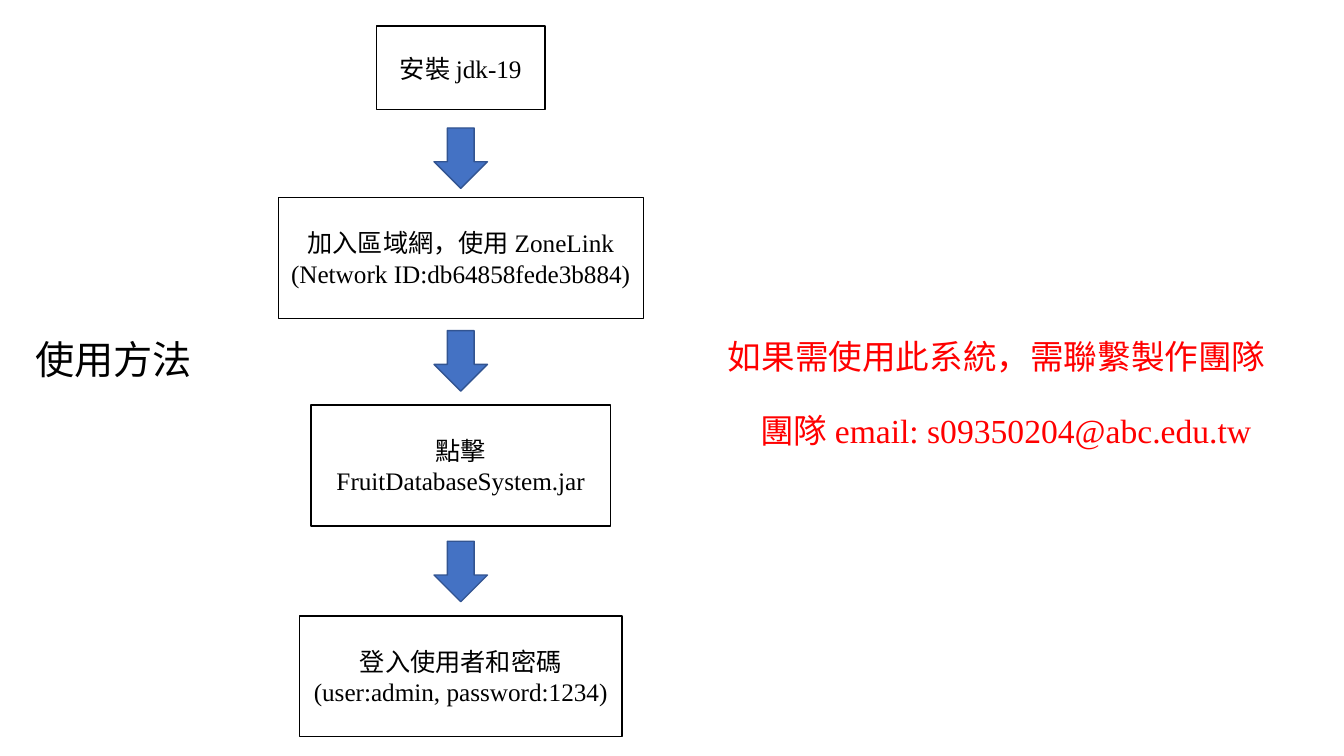
from pptx import Presentation
from pptx.dml.color import RGBColor
from pptx.enum.shapes import MSO_SHAPE as Shape
from pptx.enum.text import MSO_ANCHOR as Anchor, MSO_AUTO_SIZE as AutoSize, PP_ALIGN as Align
from pptx.oxml.ns import qn
from pptx.util import Inches, Pt
from lxml.etree import SubElement

BLACK = RGBColor(0x00, 0x00, 0x00)
WHITE = RGBColor(0xFF, 0xFF, 0xFF)
RED = RGBColor(0xFF, 0x00, 0x00)
BLUE = RGBColor(0x44, 0x72, 0xC4)
DARK_BLUE = RGBColor(0x32, 0x54, 0x91)
CHINESE = "Noto Sans CJK SC"
LATIN = "Times New Roman"


def write(para, texts, size, color, align):
    para.alignment = align
    para.font.size = Pt(size)
    para.font.color.rgb = color
    for text in texts:
        span = para.add_run()
        span.text = text
        span.font.name = LATIN if text.isascii() else CHINESE
        SubElement(span.font._element, qn("a:ea"), typeface=CHINESE)


def add_block(kind, left, top, width, height, fill, line):
    block = page.shapes.add_shape(kind, Inches(left), Inches(top), Inches(width), Inches(height))
    block.shadow.inherit = False
    block.fill.solid()
    block.fill.fore_color.rgb = fill
    block.line.color.rgb = line
    block.line.width = Pt(1)
    return block


deck = Presentation()
deck.slide_width, deck.slide_height = Inches(13.33), Inches(7.5)
page = deck.slides.add_slide(deck.slide_layouts[6])

flow_center = 4.57
steps = [
    (0.26, 1.67, 0.83, [["安裝 ", "jdk-19"]]),
    (1.96, 3.62, 1.2, [["加入區域網，使用 ", "ZoneLink"], ["(Network ID:db64858fede3b884)"]]),
    (4.02, 2.97, 1.2, [["點擊 ", "FruitDatabaseSystem.jar"]]),
    (6.11, 3.2, 1.2, [["登入使用者和密碼 ", "(user:admin, password:1234)"]]),
]
for top, width, height, lines in steps:
    box = add_block(Shape.RECTANGLE, flow_center - width / 2, top, width, height, WHITE, BLACK)
    frame = box.text_frame
    frame.word_wrap = True
    frame.vertical_anchor = Anchor.MIDDLE
    for index, texts in enumerate(lines):
        para = frame.add_paragraph() if index else frame.paragraphs[0]
        write(para, texts, 18, BLACK, Align.CENTER)

arrow_width, arrow_height = 0.53, 0.6
for top in (1.27, 3.28, 5.37):
    add_block(Shape.DOWN_ARROW, flow_center - arrow_width / 2, top, arrow_width, arrow_height, BLUE, DARK_BLUE)

notes_top = 3.28
title = page.shapes.add_textbox(Inches(0.25), Inches(notes_top), Inches(1.77), Inches(0.57))
title.text_frame.word_wrap = False
title.text_frame.auto_size = AutoSize.SHAPE_TO_FIT_TEXT
write(title.text_frame.paragraphs[0], ["使用方法"], 28, BLACK, Align.LEFT)

contact = page.shapes.add_textbox(Inches(7.12), Inches(notes_top), Inches(5.71), Inches(1.31))
contact.text_frame.word_wrap = True
contact.text_frame.auto_size = AutoSize.SHAPE_TO_FIT_TEXT
write(contact.text_frame.paragraphs[0], ["如果需使用此系統，需聯繫製作團隊"], 24, RED, Align.LEFT)
address = contact.text_frame.add_paragraph()
address.space_before = Pt(24)
write(address, ["團隊 ", "email: s09350204@abc.edu.tw"], 24, RED, Align.CENTER)

deck.save("out.pptx")
